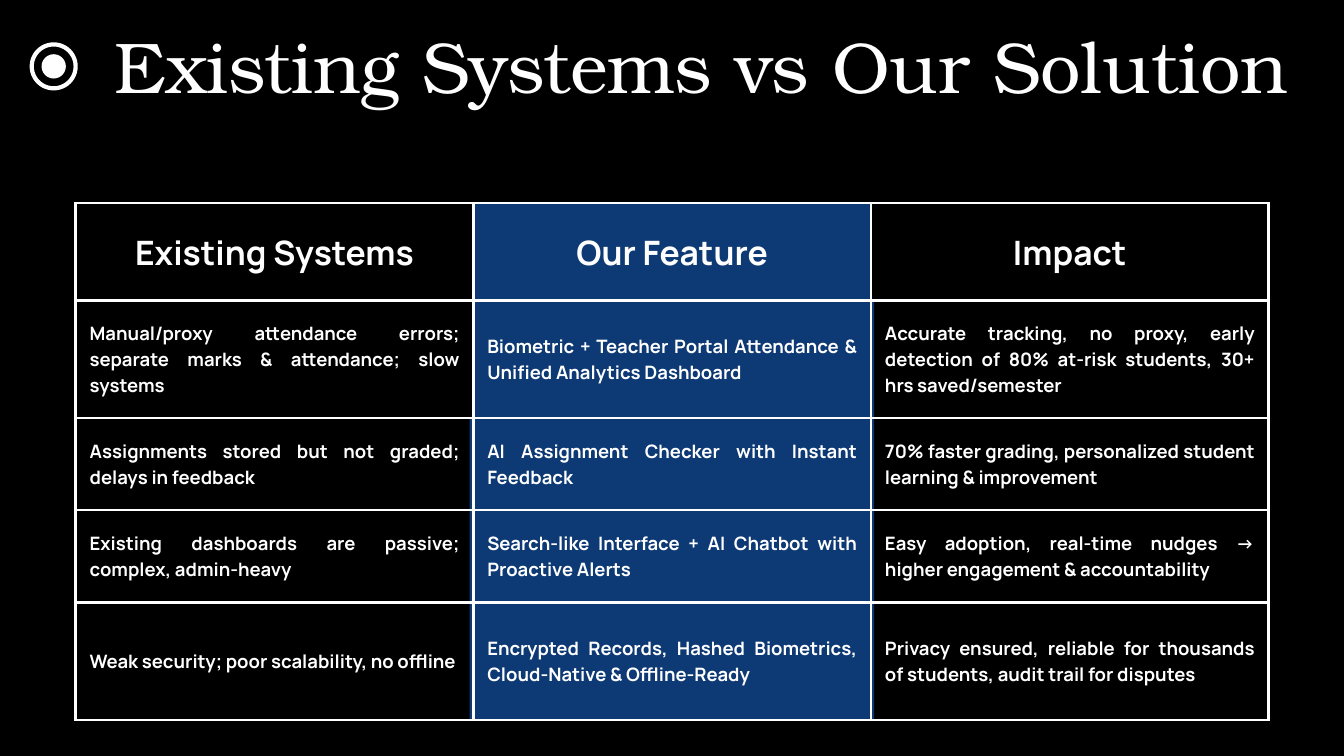
import pptx
import pptx.util
import pptx.dml.color
import pptx.enum.shapes
import pptx.enum.text
import pptx.oxml.ns
import lxml.etree

Cm, Pt = pptx.util.Cm, pptx.util.Pt
MSO_SHAPE = pptx.enum.shapes.MSO_SHAPE
PP_ALIGN = pptx.enum.text.PP_ALIGN
qn = pptx.oxml.ns.qn

# Content
TITLE = "Existing Systems vs Our Solution"
ROWS = [
    ("Existing Systems", "Our Feature", "Impact"),
    ("Manual/proxy attendance errors; separate marks & attendance; slow systems",
     "Biometric + Teacher Portal Attendance & Unified Analytics Dashboard",
     "Accurate tracking, no proxy, early detection of 80% at-risk students, 30+ hrs saved/semester"),
    ("Assignments stored but not graded; delays in feedback",
     "AI Assignment Checker with Instant Feedback",
     "70% faster grading, personalized student learning & improvement"),
    ("Existing dashboards are passive; complex, admin-heavy",
     "Search-like Interface + AI Chatbot with Proactive Alerts",
     "Easy adoption, real-time nudges → higher engagement & accountability"),
    ("Weak security; poor scalability, no offline",
     "Encrypted Records, Hashed Biometrics, Cloud-Native & Offline-Ready",
     "Privacy ensured, reliable for thousands of students, audit trail for disputes"),
]

# Layout in centimetres
ROW_HEIGHTS = [3.68, 4.45, 3.48, 3.48, 4.45]
COLUMN_WIDTH = 15.03
TABLE_LEFT, TABLE_TOP = 2.86, 7.68
CELL_MARGIN = 0.53
BLACK_CELLS = {(0, 0), (0, 2), (1, 0)}
BLACK, WHITE, OFF_WHITE, BLUE = "000000", "FFFFFF", "FEFEFE", "1A73E8"


def rgb(value):
    return pptx.dml.color.RGBColor.from_string(value)


def add_plain_shape(slide, kind, left, top, width, height, fill=None, line=None):
    shape = slide.shapes.add_shape(kind, Cm(left), Cm(top), Cm(width), Cm(height))
    shape.shadow.inherit = False
    if fill:
        shape.fill.solid()
        shape.fill.fore_color.rgb = rgb(fill)
    else:
        shape.fill.background()
    if line:
        shape.line.color.rgb = rgb(line)
        shape.line.width = Pt(4.5)
    else:
        shape.line.fill.background()
    return shape


def add_circle(slide, diameter, **style):
    center_x, center_y = 2.03, 2.51
    add_plain_shape(slide, MSO_SHAPE.OVAL, center_x - diameter / 2,
                    center_y - diameter / 2, diameter, diameter, **style)


def style_paragraph(paragraph, size, font, color, spacing, bold=False):
    paragraph.line_spacing = Pt(spacing)
    for run in paragraph.runs:
        run.font.size = Pt(size)
        run.font.name = font
        run.font.bold = bold
        run.font.color.rgb = rgb(color)


def set_borders(cell, color, points):
    properties = cell._tc.get_or_add_tcPr()
    for index, side in enumerate(("a:lnL", "a:lnR", "a:lnT", "a:lnB")):
        line = lxml.etree.Element(qn(side), w=str(Pt(points)))
        fill = lxml.etree.SubElement(line, qn("a:solidFill"))
        lxml.etree.SubElement(fill, qn("a:srgbClr"), val=color)
        properties.insert(index, line)


def fill_cell(cell, text, row, column):
    cell.text_frame.text = text
    cell.vertical_anchor = pptx.enum.text.MSO_ANCHOR.MIDDLE
    cell.margin_left = cell.margin_right = Cm(CELL_MARGIN)
    cell.margin_top = cell.margin_bottom = Cm(CELL_MARGIN)
    paragraph = cell.text_frame.paragraphs[0]
    if row == 0:
        paragraph.alignment = PP_ALIGN.CENTER
        style_paragraph(paragraph, 36, "Manrope", OFF_WHITE, 50.4, bold=True)
    else:
        paragraph.alignment = PP_ALIGN.JUSTIFY
        color = OFF_WHITE if column == 0 else WHITE
        style_paragraph(paragraph, 19.8, "Manrope", color, 27.7, bold=True)
    if (row, column) in BLACK_CELLS:
        cell.fill.solid()
        cell.fill.fore_color.rgb = rgb(BLACK)
    else:
        cell.fill.background()
    set_borders(cell, WHITE, 3)


def add_comparison_table(slide):
    count = len(ROWS[0])
    frame = slide.shapes.add_table(len(ROWS), count, Cm(TABLE_LEFT), Cm(TABLE_TOP),
                                   Cm(COLUMN_WIDTH * count), Cm(sum(ROW_HEIGHTS)))
    table = frame.table
    table.first_row = table.horz_banding = False
    for column in table.columns:
        column.width = Cm(COLUMN_WIDTH)
    for row, texts in enumerate(ROWS):
        table.rows[row].height = Cm(ROW_HEIGHTS[row])
        for column, text in enumerate(texts):
            fill_cell(table.cell(row, column), text, row, column)


def main():
    presentation = pptx.Presentation()
    presentation.slide_width, presentation.slide_height = Cm(50.8), Cm(28.58)
    slide = presentation.slides.add_slide(presentation.slide_layouts[6])
    slide.background.fill.solid()
    slide.background.fill.fore_color.rgb = rgb(BLACK)

    # Ring with a dot beside the title
    add_circle(slide, 1.66, line=OFF_WHITE)
    add_circle(slide, 0.92, fill=OFF_WHITE)

    # Half-transparent band behind the middle column
    band = add_plain_shape(slide, MSO_SHAPE.RECTANGLE, 17.75, TABLE_TOP,
                           15.29, sum(ROW_HEIGHTS), fill=BLUE)
    band_color = band.fill._xPr.find(qn("a:solidFill"))[0]
    lxml.etree.SubElement(band_color, qn("a:alpha"), val="50000")

    add_comparison_table(slide)

    # Title
    title = slide.shapes.add_textbox(Cm(4.34), Cm(1.14), Cm(48.16), Cm(3))
    text_frame = title.text_frame
    text_frame.word_wrap = True
    text_frame.margin_left = text_frame.margin_right = 0
    text_frame.margin_top = text_frame.margin_bottom = 0
    text_frame.text = TITLE
    style_paragraph(text_frame.paragraphs[0], 77, "TeX Gyre Bonum", OFF_WHITE, 83.2)

    presentation.save("out.pptx")


if __name__ == "__main__":
    main()
